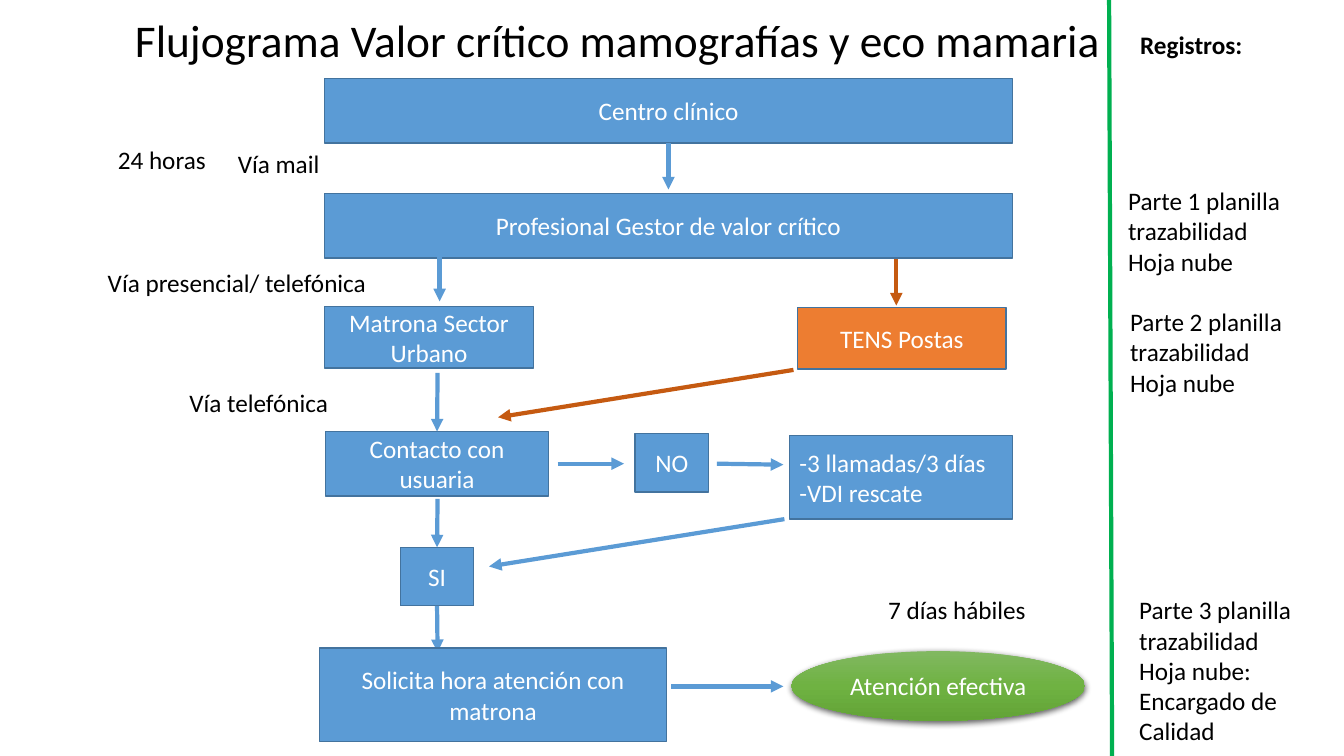
from copy import deepcopy

from pptx import Presentation
from pptx.dml.color import RGBColor
from pptx.enum.shapes import MSO_CONNECTOR, MSO_SHAPE
from pptx.enum.text import MSO_ANCHOR, MSO_AUTO_SIZE, PP_ALIGN
from pptx.oxml import parse_xml
from pptx.oxml.ns import nsdecls, qn
from pptx.util import Inches, Pt

COLORS = {
    "blue": "5B9BD5", "edge": "43739E", "orange": "ED7D31", "rust": "C55A11",
    "green": "00B050", "white": "FFFFFF", "black": "000000",
    "light": "81B861", "mid": "6FB242", "deep": "62A336",
}
FONT = "Calibri"


def rgb(name):
    return RGBColor.from_string(COLORS[name])


def write(frame, text, color, size=18, align=PP_ALIGN.LEFT, bold=False):
    frame.text = text
    for para in frame.paragraphs:
        para.alignment = align
        for run in para.runs:
            font = run.font
            font.name, font.size, font.bold = FONT, Pt(size), bold
            font.color.rgb = rgb(color)


def add_node(slide, text, x, y, w, h, kind=MSO_SHAPE.RECTANGLE,
             fill="blue", align=PP_ALIGN.CENTER):
    node = slide.shapes.add_shape(kind, Inches(x), Inches(y), Inches(w), Inches(h))
    node.shadow.inherit = False
    node.fill.solid()
    node.fill.fore_color.rgb = rgb(fill)
    node.line.color.rgb = rgb("edge")
    node.line.width = Pt(1)
    node.text_frame.word_wrap = True
    node.text_frame.vertical_anchor = MSO_ANCHOR.MIDDLE
    write(node.text_frame, text, "white", align=align)
    return node


def add_goal(slide, text, x, y, w, h):
    """Add the final oval, with a three-step gradient and a soft shadow."""
    goal = add_node(slide, text, x, y, w, h, MSO_SHAPE.OVAL)
    goal.line.fill.background()
    goal.fill.gradient()
    goal.fill.gradient_angle = 270
    steps = goal.element.spPr.find(".//" + qn("a:gsLst"))
    steps.insert(1, deepcopy(steps[0]))
    for i, (stop, shade) in enumerate(zip(goal.fill.gradient_stops,
                                          ["light", "mid", "deep"])):
        stop.position = i / 2
        stop.color.rgb = rgb(shade)
    goal.element.spPr.find(qn("a:effectLst")).append(parse_xml(
        f'<a:outerShdw {nsdecls("a")} blurRad="{Pt(4.5)}" dist="{Pt(1.5)}" '
        'dir="5400000" algn="ctr" rotWithShape="0"><a:srgbClr val="000000">'
        '<a:alpha val="63000"/></a:srgbClr></a:outerShdw>'))


def add_label(slide, text, x, y, w, h, wrap=False, bold=False):
    box = slide.shapes.add_textbox(Inches(x), Inches(y), Inches(w), Inches(h))
    frame = box.text_frame
    frame.word_wrap = wrap
    frame.auto_size = MSO_AUTO_SIZE.SHAPE_TO_FIT_TEXT
    write(frame, text, "black", bold=bold)


def add_title(slide, text):
    box = slide.shapes.add_textbox(Inches(1.24), Inches(-0.09), Inches(10), Inches(1.02))
    box.text_frame.word_wrap = True
    box.text_frame.vertical_anchor = MSO_ANCHOR.MIDDLE
    write(box.text_frame, text, "black", size=32.4)
    box.text_frame.paragraphs[0].line_spacing = 0.9


def add_line(slide, x1, y1, x2, y2, color="blue", arrow=True):
    link = slide.shapes.add_connector(
        MSO_CONNECTOR.STRAIGHT, Inches(x1), Inches(y1), Inches(x2), Inches(y2))
    link.line.color.rgb = rgb(color)
    link.line.width = Pt(3)
    if arrow:
        link.element.spPr.find(qn("a:ln")).append(
            parse_xml(f'<a:tailEnd {nsdecls("a")} type="triangle"/>'))
    link.element.spPr.append(parse_xml(f'<a:effectLst {nsdecls("a")}/>'))
    return link


def main():
    deck = Presentation()
    deck.slide_width, deck.slide_height = Inches(13.33), Inches(7.5)
    slide = deck.slides.add_slide(deck.slide_layouts[6])

    add_title(slide, "Flujograma Valor crítico mamografías y eco mamaria")

    center = add_node(slide, "Centro clínico", 3.22, 0.78, 6.82, 0.64)
    add_node(slide, "Profesional Gestor de valor crítico", 3.22, 1.92, 6.82, 0.64)
    add_node(slide, "Matrona Sector Urbano", 3.22, 3.04, 2.07, 0.61)
    add_node(slide, "TENS Postas", 7.91, 3.05, 2.07, 0.61, fill="orange")
    contact = add_node(slide, "Contacto con usuaria", 3.23, 4.28, 2.21, 0.64)
    add_node(slide, "NO", 6.3, 4.3, 0.73, 0.58)
    add_node(slide, "-3 llamadas/3 días\n-VDI rescate", 7.83, 4.32, 2.21, 0.83,
             align=PP_ALIGN.LEFT)
    yes = add_node(slide, "SI", 3.97, 5.43, 0.73, 0.58)
    add_goal(slide, "Atención efectiva", 7.85, 6.46, 2.91, 0.69)

    add_line(slide, 6.63, 1.42, 6.63, 1.88).begin_connect(center, 2)
    add_line(slide, 4.34, 3.7, 4.34, 4.28).end_connect(contact, 0)
    add_line(slide, 4.34, 4.95, 4.34, 5.43).end_connect(yes, 0)
    add_line(slide, 4.34, 6.01, 4.34, 6.47).begin_connect(yes, 2)
    for ends in [
        (4.36, 2.54, 4.36, 2.99),
        (5.53, 4.6, 6.19, 4.6),
        (7.11, 4.6, 7.77, 4.61),
        (7.78, 5.15, 4.85, 5.62),
        (6.66, 6.81, 7.77, 6.81),
    ]:
        add_line(slide, *ends)
    add_line(slide, 8.89, 2.57, 8.89, 3.03, "rust")
    add_line(slide, 7.87, 3.67, 4.94, 4.14, "rust")
    add_line(slide, 11, 0, 11.03, 7.5, "green", arrow=False)
    add_node(slide, "Solicita hora atención con matrona", 3.17, 6.43, 3.44, 0.93)

    for text, x, y, w in [
        ("24 horas", 1.07, 1.38, 1.08),
        ("Vía mail", 2.26, 1.42, 1.08),
        ("Vía presencial/ telefónica", 0.97, 2.6, 2.79),
        ("Vía telefónica", 1.78, 3.79, 1.59),
        ("7 días hábiles", 8.71, 5.85, 1.58),
    ]:
        add_label(slide, text, x, y, w, 0.4)

    add_label(slide, "Registros:", 11.21, 0.24, 1.83, 0.4, wrap=True, bold=True)
    for text, x, y, h in [
        ("Parte 1 planilla trazabilidad Hoja nube", 11.09, 1.79, 1.01),
        ("Parte 2 planilla trazabilidad Hoja nube", 11.11, 2.99, 1.01),
        ("Parte 3 planilla trazabilidad Hoja nube: Encargado de Calidad",
         11.2, 5.85, 1.62),
    ]:
        add_label(slide, text, x, y, 1.83, h, wrap=True)

    deck.save("out.pptx")


if __name__ == "__main__":
    main()
